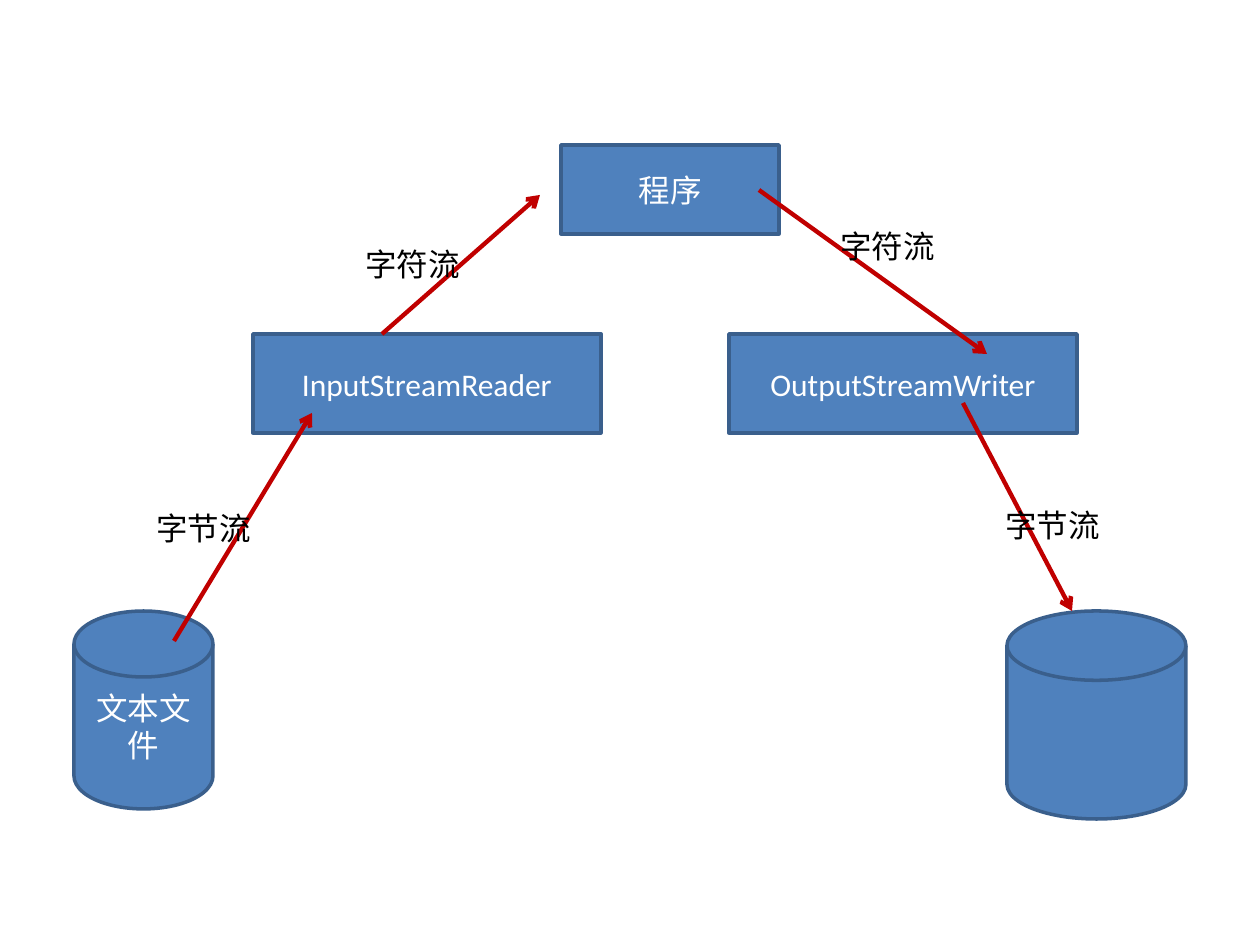
"""Build a slide showing how character and byte streams link a program to its files."""
from lxml.etree import SubElement
from pptx import Presentation
from pptx.dml.color import RGBColor
from pptx.enum.shapes import MSO_CONNECTOR, MSO_SHAPE
from pptx.enum.text import MSO_ANCHOR, MSO_AUTO_SIZE, PP_ALIGN
from pptx.oxml.ns import qn
from pptx.util import Emu, Pt

BOX, DISK = MSO_SHAPE.RECTANGLE, MSO_SHAPE.FLOWCHART_MAGNETIC_DISK
NODES = [
    (DISK, "文本文件", (74, 611, 139, 198)),
    (BOX, "InputStreamReader", (253, 334, 348, 99)),
    (BOX, "程序", (561, 145, 218, 89)),
    (BOX, "OutputStreamWriter", (729, 334, 348, 99)),
    (DISK, "", (1007, 611, 179, 208)),
]
ARROWS = [
    (174, 641, 312, 413),
    (382, 334, 540, 195),
    (759, 190, 987, 354),
    (963, 403, 1072, 611),
]
LABELS = [
    ("字节流", (144, 503, 159, 50)),
    ("字符流", (353, 239, 189, 50)),
    ("字符流", (828, 221, 208, 50)),
    ("字节流", (993, 500, 159, 50)),
]
FILL, EDGE, ARROW, WHITE, BLACK = "4F81BD", "3A5F8C", "C00000", "FFFFFF", "000000"
SCALE = 914400 / 126


def px(*values):
    return [Emu(round(v * SCALE)) for v in values]


def rgb(code):
    return RGBColor.from_string(code)


def write(tf, text, color):
    tf.word_wrap = True
    p = tf.paragraphs[0]
    p.text = text
    p.font.name, p.font.size = "Calibri", Pt(18)
    p.font.color.rgb = rgb(color)
    return p


def add_node(s, kind, text, at):
    sp = s.shapes.add_shape(kind, *px(*at))
    sp.shadow.inherit = False
    sp.fill.solid()
    sp.fill.fore_color.rgb = rgb(FILL)
    sp.line.color.rgb, sp.line.width = rgb(EDGE), Pt(2)
    if text:
        sp.text_frame.vertical_anchor = MSO_ANCHOR.MIDDLE
        write(sp.text_frame, text, WHITE).alignment = PP_ALIGN.CENTER


def add_arrow(s, ends):
    c = s.shapes.add_connector(MSO_CONNECTOR.STRAIGHT, *px(*ends))
    c.line.color.rgb, c.line.width = rgb(ARROW), Pt(2.5)
    SubElement(c.line._get_or_add_ln(), qn("a:tailEnd"), type="arrow")
    SubElement(c._element.spPr, qn("a:effectLst"))


def add_label(s, text, at):
    tf = s.shapes.add_textbox(*px(*at)).text_frame
    write(tf, text, BLACK)
    tf.auto_size = MSO_AUTO_SIZE.SHAPE_TO_FIT_TEXT


prs = Presentation()
prs.slide_width, prs.slide_height = px(1260, 945)
s = prs.slides.add_slide(prs.slide_layouts[6])
for node in NODES:
    add_node(s, *node)
for ends in ARROWS:
    add_arrow(s, ends)
for label in LABELS:
    add_label(s, *label)
prs.save("out.pptx")
